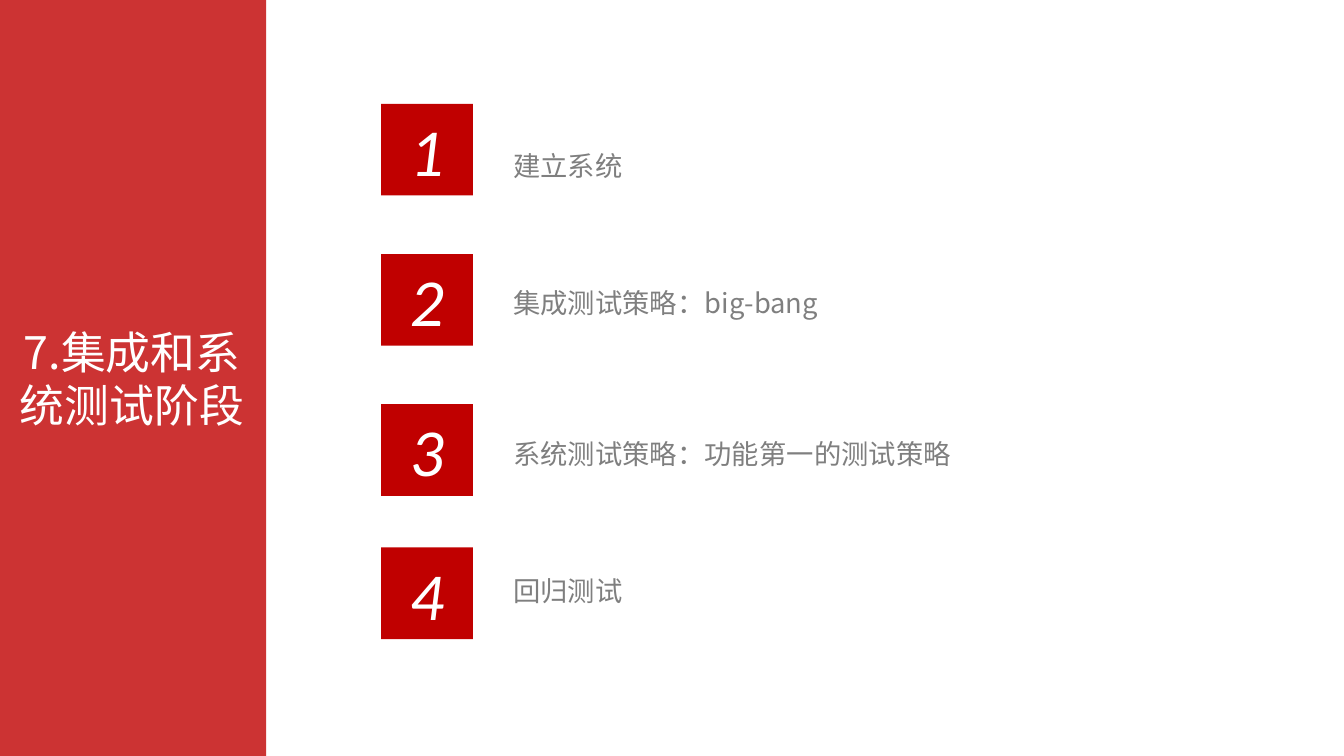
from dataclasses import dataclass

from lxml import etree
from pptx import Presentation
from pptx.dml.color import RGBColor
from pptx.enum.shapes import MSO_SHAPE
from pptx.enum.text import MSO_ANCHOR, MSO_AUTO_SIZE, PP_ALIGN
from pptx.oxml.ns import qn
from pptx.util import Inches, Pt

RECTANGLE = MSO_SHAPE.RECTANGLE
MIDDLE = MSO_ANCHOR.MIDDLE
CENTER, LEFT = PP_ALIGN.CENTER, PP_ALIGN.LEFT
NO_FIT, GROW = MSO_AUTO_SIZE.NONE, MSO_AUTO_SIZE.SHAPE_TO_FIT_TEXT


@dataclass(frozen=True)
class Theme:
    red: RGBColor = RGBColor(0xC0, 0x00, 0x00)
    white: RGBColor = RGBColor(0xFF, 0xFF, 0xFF)
    grey: RGBColor = RGBColor(0x7F, 0x7F, 0x7F)
    latin_font: str = "Calibri"
    chinese_font: str = "Noto Sans CJK SC"
    title_size: float = 32
    number_size: float = 48
    item_size: float = 19.5


THEME = Theme()


def write(frame, text, size, color, font, align):
    """Fill a frame with one paragraph, using the font for Latin and Chinese."""
    frame.word_wrap = True
    frame.text = text
    paragraph = frame.paragraphs[0]
    paragraph.alignment = align
    run = paragraph.runs[0]
    run.font.size = Pt(size)
    run.font.color.rgb = color
    run.font.name = font
    etree.SubElement(run.font._element, qn("a:ea"), typeface=font)
    return paragraph


def paint(shape, color):
    shape.fill.solid()
    shape.fill.fore_color.rgb = color
    shape.line.fill.background()


prs = Presentation()
prs.slide_width, prs.slide_height = Inches(13.33), Inches(7.5)
slide = prs.slides.add_slide(prs.slide_layouts[5])

# Sidebar with the section title
sidebar = slide.shapes.title
sidebar.left, sidebar.top = Inches(-0.02), 0
sidebar.width, sidebar.height = Inches(2.66), prs.slide_height
paint(sidebar, THEME.red)
sidebar_color = sidebar._element.spPr.find(qn("a:solidFill")).find(qn("a:srgbClr"))
etree.SubElement(sidebar_color, qn("a:alpha"), val="80000")
sidebar.text_frame.auto_size = NO_FIT
sidebar.text_frame.vertical_anchor = MIDDLE
write(sidebar.text_frame, "7.集成和系统测试阶段", THEME.title_size,
      THEME.white, THEME.chinese_font, CENTER)

# Numbered steps: top of the square, top of the text, wording
NUMBER_LEFT, NUMBER_SIDE = Inches(3.78), Inches(0.91)
ITEM_LEFT, ITEM_WIDTH, ITEM_HEIGHT = Inches(4.99), Inches(8.35), Inches(0.49)
steps = [
    (1.03, 1.37, "建立系统"),
    (2.52, 2.73, "集成测试策略：big-bang"),
    (4.01, 4.22, "系统测试策略：功能第一的测试策略"),
    (5.43, 5.58, "回归测试"),
]

for number, (number_top, item_top, wording) in enumerate(steps, start=1):
    square = slide.shapes.add_shape(RECTANGLE, NUMBER_LEFT, Inches(number_top),
                                    NUMBER_SIDE, NUMBER_SIDE)
    square.shadow.inherit = False
    paint(square, THEME.red)
    square.text_frame.vertical_anchor = MIDDLE
    digit = write(square.text_frame, str(number), THEME.number_size,
                  THEME.white, THEME.latin_font, CENTER)
    digit.runs[0].font.italic = True

    item = slide.shapes.add_textbox(ITEM_LEFT, Inches(item_top),
                                    ITEM_WIDTH, ITEM_HEIGHT)
    item.text_frame.auto_size = GROW
    line = write(item.text_frame, wording, THEME.item_size,
                 THEME.grey, THEME.chinese_font, LEFT)
    line.line_spacing = 1.2

prs.save("out.pptx")
